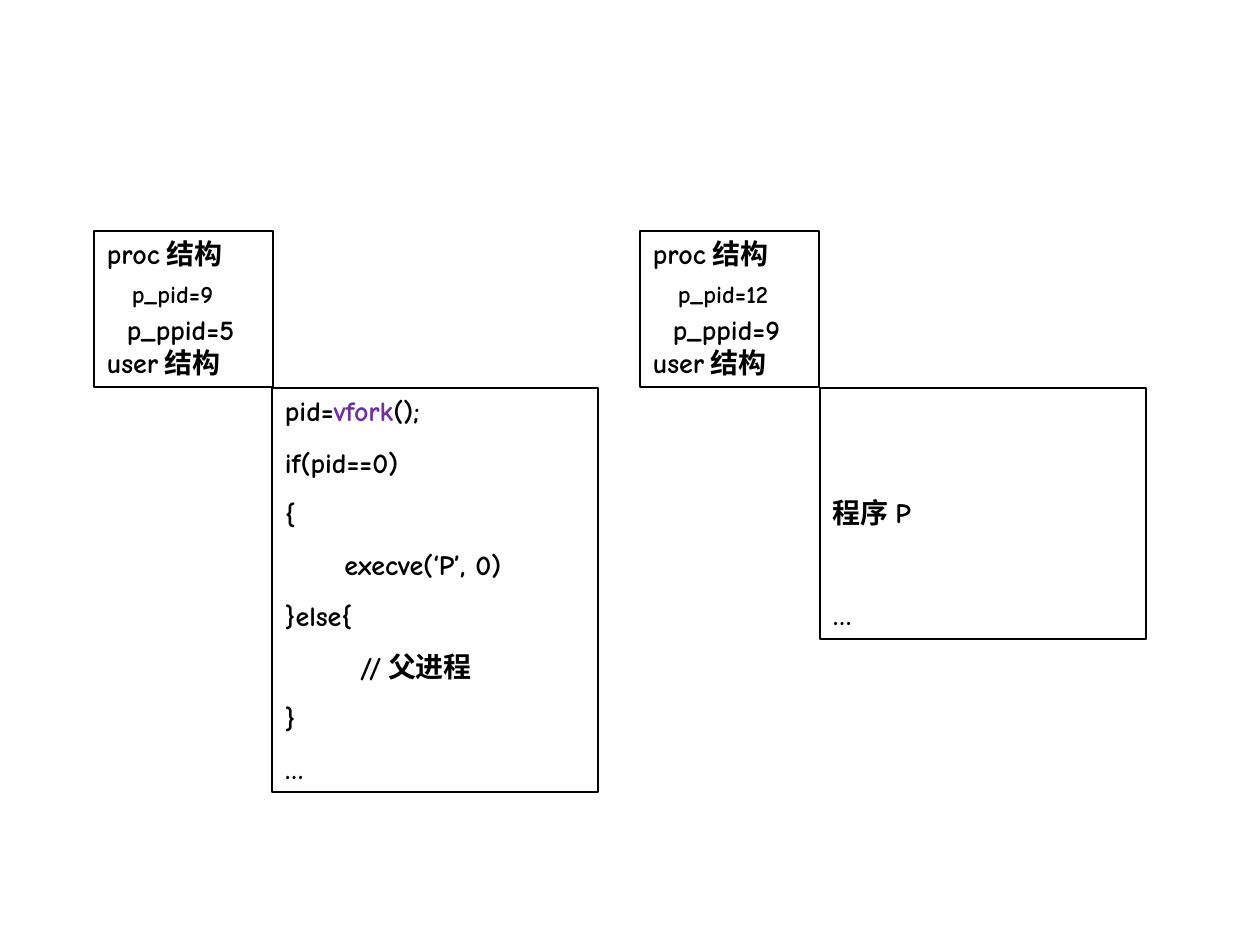
from dataclasses import dataclass

from pptx import Presentation
from pptx.dml.color import RGBColor
from pptx.enum.shapes import MSO_SHAPE
from pptx.enum.text import MSO_ANCHOR, MSO_AUTO_SIZE, PP_ALIGN
from pptx.util import Emu, Pt

RECTANGLE = MSO_SHAPE.RECTANGLE
TOP = MSO_ANCHOR.TOP
LEFT = PP_ALIGN.LEFT
NO_AUTOFIT = MSO_AUTO_SIZE.NONE

PX_PER_INCH = 126
FONT = "Comic Neue"
BLACK = "000000"
PURPLE = "7030A0"
TEXT_SIZE = 16
CODE_GAP = 10      # points between code lines
LINE_HEIGHT = 19   # points taken by one line of code
INSET_X, INSET_Y = 13, 6
CODE_PITCH = 51    # px from one code line to the next


@dataclass
class Line:
    text: str
    size: int = TEXT_SIZE
    indent: int = 0
    before: int = 0
    after: int = 0
    highlight: str = ""


@dataclass
class Box:
    left: int
    top: int
    width: int
    height: int
    lines: list[Line]
    inset_top: int = INSET_Y


def px(length: int) -> Emu:
    return Emu(round(length * 914400 / PX_PER_INCH))


def color(value: str) -> RGBColor:
    return RGBColor.from_string(value)


def write_line(paragraph, line: Line) -> None:
    if line.highlight:
        start, word, end = line.text.partition(line.highlight)
        for part in (start, word, end):
            paragraph.add_run().text = part
    else:
        paragraph.text = line.text
    paragraph.alignment = LEFT
    paragraph.space_before = Pt(line.before)
    paragraph.space_after = Pt(line.after)
    if line.indent:
        properties = paragraph._p.get_or_add_pPr()
        properties.set("marL", str(px(line.indent)))
        properties.set("indent", "0")
    for run in paragraph.runs:
        run.font.name = FONT
        run.font.size = Pt(line.size)
        run.font.bold = True
        run.font.color.rgb = color(PURPLE if run.text == line.highlight else BLACK)


def draw_box(slide, box: Box) -> None:
    shape = slide.shapes.add_shape(
        RECTANGLE, px(box.left), px(box.top), px(box.width), px(box.height))
    shape.shadow.inherit = False
    shape.fill.background()
    shape.line.color.rgb = color(BLACK)
    shape.line.width = Pt(0.75)
    text_frame = shape.text_frame
    text_frame.word_wrap = True
    text_frame.auto_size = NO_AUTOFIT
    text_frame.vertical_anchor = TOP
    text_frame.margin_left = text_frame.margin_right = px(INSET_X)
    text_frame.margin_top = px(box.inset_top)
    text_frame.margin_bottom = px(INSET_Y)
    for index, line in enumerate(box.lines):
        paragraph = text_frame.add_paragraph() if index else text_frame.paragraphs[0]
        write_line(paragraph, line)


def process_box(left: int, pid: int, parent_pid: int) -> Box:
    return Box(left, 231, 179, 156, [
        Line("proc结构"),
        Line(f"p_pid={pid}", size=14, indent=25, before=5, after=2),
        Line(f"p_ppid={parent_pid}", indent=20),
        Line("user结构"),
    ])


def main() -> None:
    presentation = Presentation()
    presentation.slide_width, presentation.slide_height = px(1260), px(945)
    slide = presentation.slides.add_slide(presentation.slide_layouts[6])

    # Code of the parent process
    code = ["pid=vfork();", "if(pid==0)", "{", "      execve(‘P’, 0)",
            "}else{", "　　  //父进程", "}", "…"]
    code_lines = [
        Line(text, before=CODE_GAP if index else 0,
             highlight="vfork" if "vfork" in text else "")
        for index, text in enumerate(code)
    ]
    draw_box(slide, Box(272, 388, 326, 404, code_lines))

    # Process structures of parent and child
    draw_box(slide, process_box(94, pid=9, parent_pid=5))
    draw_box(slide, process_box(640, pid=12, parent_pid=9))

    # Program run by the child, two code lines below the top of its box
    program_lines = [Line("程序P"), Line("…", before=LINE_HEIGHT + 2 * CODE_GAP)]
    draw_box(slide, Box(820, 388, 326, 251, program_lines,
                        inset_top=INSET_Y + 2 * CODE_PITCH))

    presentation.save("out.pptx")


if __name__ == "__main__":
    main()
